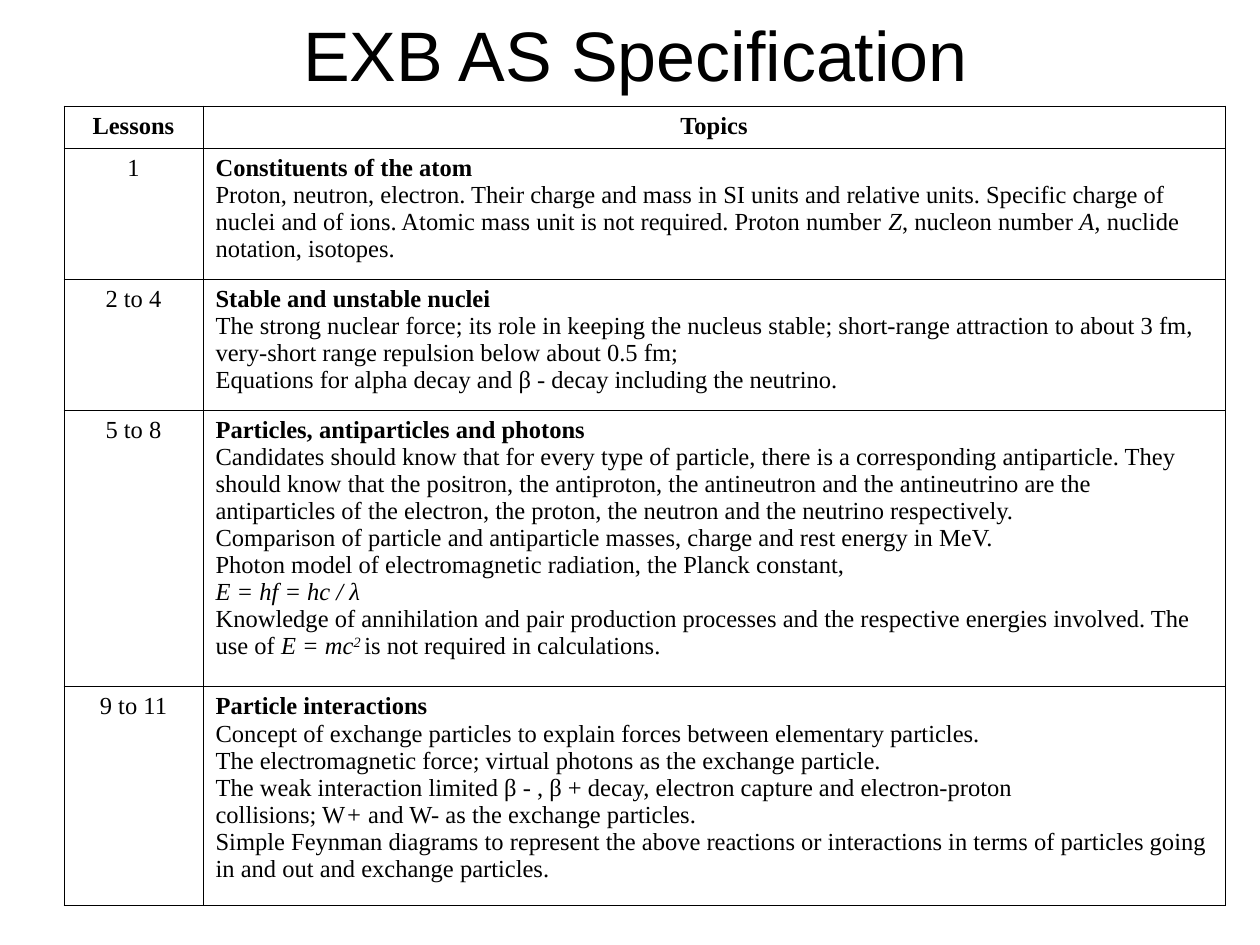
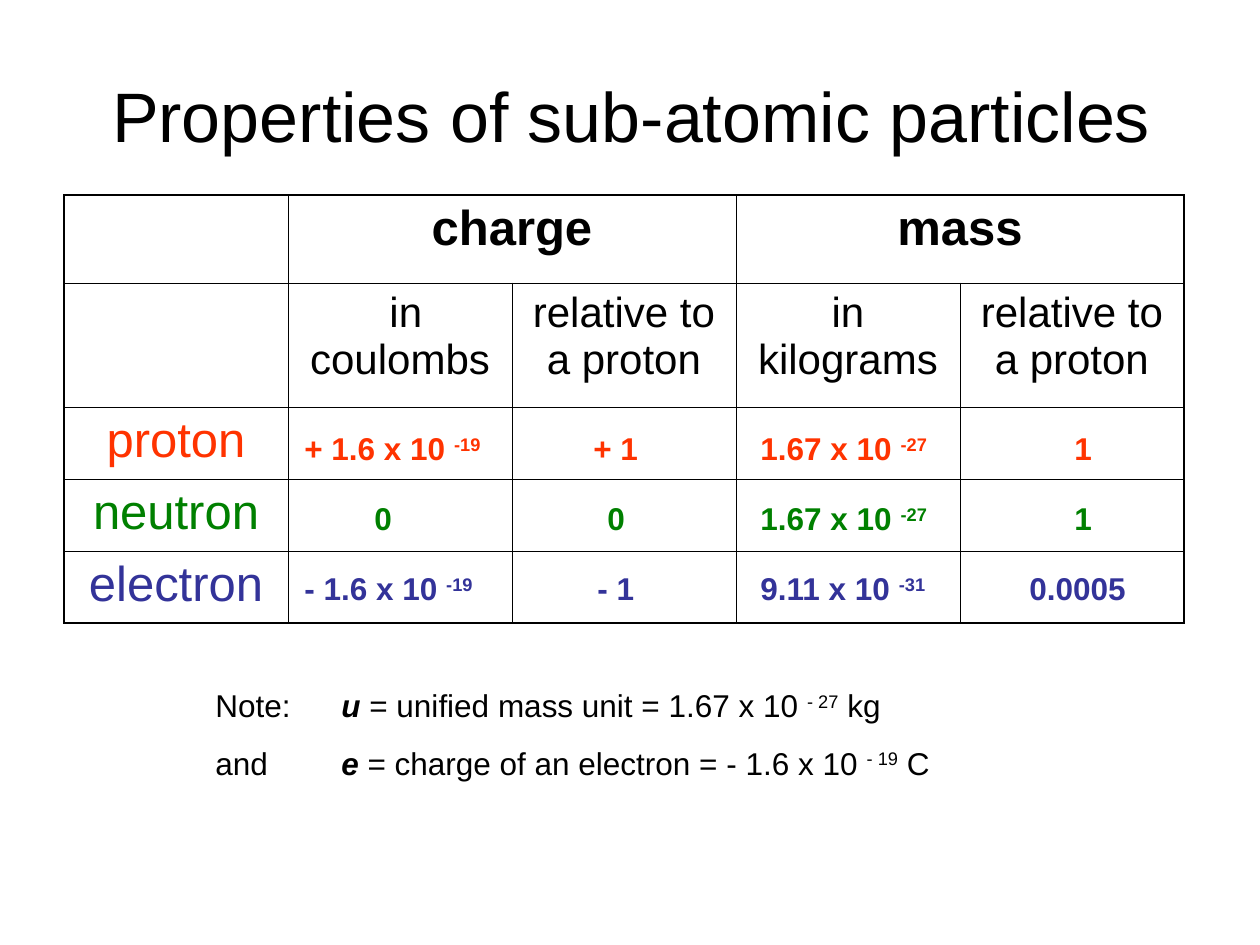
import pptx
import pptx.util
import pptx.dml.color
import pptx.enum.text
import pptx.oxml.ns
from lxml import etree

# ---- Shared look ----
RGBColor = pptx.dml.color.RGBColor
BLACK = RGBColor(0x00, 0x00, 0x00)
RED = RGBColor(0xFF, 0x33, 0x00)
GREEN = RGBColor(0x00, 0x80, 0x00)
INDIGO = RGBColor(0x33, 0x33, 0x99)
SANS, SERIF = "Arial", "Times New Roman"
CENTER = pptx.enum.text.PP_ALIGN.CENTER
LEFT = pptx.enum.text.PP_ALIGN.LEFT
MIDDLE = pptx.enum.text.MSO_ANCHOR.MIDDLE
PX = pptx.util.Inches(1) / 126
THIN, THICK = 0.45, 1.08
TABLE_LEFT = 64

# ---- Content: a paragraph is a list of runs; a styled run is (text, style)
# with b = bold, i = italic, ^ = superscript ----
SPEC_TITLE = "EXB AS Specification"
SPEC_BOX = (64, 0, 1143, 107)
SPEC_TOP = 106
SPEC_COLUMNS = [139, 1022]
SPEC_HEADINGS = ["Lessons", "Topics"]
SPEC_HEADING_HEIGHT = 42
LESSONS = [
    ("1", 131, "Constituents of the atom", [
        ["Proton, neutron, electron. Their charge and mass in SI units and relative units. "
         "Specific charge of nuclei and of ions. Atomic mass unit is not required. "
         "Proton number ", ("Z", "i"), ", nucleon number ", ("A, ", "i"),
         "nuclide notation, isotopes."],
    ]),
    ("2 to 4", 131, "Stable and unstable nuclei", [
        ["The strong nuclear force; its role in keeping the nucleus stable; short-range "
         "attraction to about 3 fm, very-short range repulsion below about 0.5 fm;"],
        ["Equations for alpha decay and β - decay including the neutrino."],
    ]),
    ("5 to 8", 277, "Particles, antiparticles and photons", [
        ["Candidates should know that for every type of particle, there is a corresponding "
         "antiparticle. They should know that the positron, the antiproton, the antineutron "
         "and the antineutrino are the antiparticles of the electron, the proton, the "
         "neutron and the neutrino respectively."],
        ["Comparison of particle and antiparticle masses, charge and rest energy in MeV."],
        ["Photon model of electromagnetic radiation, the Planck constant,"],
        [("E = hf = hc / λ", "i")],
        ["Knowledge of annihilation and pair production processes and the respective "
         "energies involved. The use of ", ("E = mc", "i"), ("2 ", "i^"),
         "is not required in calculations."],
    ]),
    ("9 to 11", 219, "Particle interactions", [
        ["Concept of exchange particles to explain forces between elementary particles."],
        ["The electromagnetic force; virtual photons as the exchange particle."],
        ["The weak interaction limited β - , β + decay, electron capture and electron-proton"],
        ["collisions; W", ("+ ", "i"), "and W- as the exchange particles."],
        ["Simple Feynman diagrams to represent the above reactions or interactions in terms "
         "of particles going in and out and exchange particles."],
    ]),
]

PROPERTIES_TITLE = "Properties of sub-atomic particles"
PROPERTIES_BOX = (64, 35, 1134, 158)
PROPERTIES_TOP = 195
PROPERTIES_COLUMNS = [224] * 5
PROPERTIES_ROWS = [88, 124, 72, 72, 72]
QUANTITIES = ["charge", "mass"]
UNITS = [" in coulombs", "relative to a proton", "in kilograms", "relative to a proton"]
VALUE_TOP, VALUE_PITCH, VALUE_HEIGHT = 423, 70, 50
# Each value: left, width, mantissa, exponent
PARTICLES = [
    ("proton", RED, [(292, 228, "+ 1.6 x 10 ", "-19"), (581, 89, "+ 1", ""),
                     (748, 198, "1.67 x 10 ", "-27"), (1062, 59, "1", "")]),
    ("neutron", GREEN, [(362, 59, "0", ""), (595, 59, "0", ""),
                        (748, 198, "1.67 x 10 ", "-27"), (1062, 59, "1", "")]),
    ("electron", INDIGO, [(292, 208, "- 1.6 x 10 ", "-19"), (585, 79, "- 1", ""),
                          (748, 198, "9.11 x 10 ", "-31"), (1017, 149, "0.0005", "")]),
]
NOTE_BOX = (203, 680, 764, 108)
NOTE_TAB, NOTE_GAP = 126, 11.2
NOTES = [
    ["Note: \t", ("u", "bi"), " = unified mass unit = 1.67 x 10 ", ("- 27", "^"), " kg"],
    ["and\t", ("e", "bi"), " = charge of an electron = - 1.6 x 10 ", ("- 19", "^"), " C"],
]


# ---- Helpers ----
def emu(px):
    return pptx.util.Emu(round(px * PX))


def write(frame, paragraphs, size, font=SANS, color=BLACK, align=LEFT, gap=0, tab=None):
    for number, runs in enumerate(paragraphs):
        paragraph = frame.add_paragraph() if number else frame.paragraphs[0]
        if tab:
            stops = etree.SubElement(paragraph._p.get_or_add_pPr(), pptx.oxml.ns.qn("a:tabLst"))
            etree.SubElement(stops, pptx.oxml.ns.qn("a:tab"), pos=str(emu(tab)), algn="l")
        paragraph.alignment = align
        if number and gap:
            paragraph.space_before = pptx.util.Pt(gap)
        for item in runs:
            text, style = (item, "") if isinstance(item, str) else item
            run = paragraph.add_run()
            run.text = text
            run.font.size = pptx.util.Pt(size)
            run.font.name = font
            run.font.color.rgb = color
            run.font.bold = "b" in style
            run.font.italic = "i" in style
            if "^" in style:
                run.font._element.set("baseline", "30000")


def add_titled_slide(deck, title, box):
    slide = deck.slides.add_slide(deck.slide_layouts[5])
    heading = slide.shapes.title
    heading.left, heading.top, heading.width, heading.height = map(emu, box)
    heading.text_frame.vertical_anchor = MIDDLE
    write(heading.text_frame, [[title]], 40, align=CENTER)
    return slide


def add_text(slide, box, paragraphs, size, **look):
    frame = slide.shapes.add_textbox(*map(emu, box)).text_frame
    frame.word_wrap = True
    write(frame, paragraphs, size, **look)


def add_grid(slide, top, columns, rows):
    grid = slide.shapes.add_table(len(rows), len(columns), emu(TABLE_LEFT), emu(top),
                                  emu(sum(columns)), emu(sum(rows))).table
    grid.first_row = grid.horz_banding = False
    for column, width in zip(grid.columns, columns):
        column.width = emu(width)
    for row, height in zip(grid.rows, rows):
        row.height = emu(height)
    return grid


def rule_cells(grid, outer):
    last_row, last_column = len(grid.rows) - 1, len(grid.columns) - 1
    for r in range(last_row + 1):
        for c in range(last_column + 1):
            cell = grid.cell(r, c)
            cell.fill.background()
            right = c + (cell.span_width if cell.is_merge_origin else 1) - 1
            edges = [("L", c == 0), ("R", right == last_column),
                     ("T", r == 0), ("B", r == last_row)]
            properties = cell._tc.get_or_add_tcPr()
            for order, (side, is_outer) in enumerate(edges):
                width = pptx.util.Pt(outer if is_outer else THIN)
                line = etree.Element(pptx.oxml.ns.qn("a:ln" + side), w=str(width))
                fill = etree.SubElement(line, pptx.oxml.ns.qn("a:solidFill"))
                etree.SubElement(fill, pptx.oxml.ns.qn("a:srgbClr"), val=str(BLACK))
                properties.insert(order, line)


# ---- Slides ----
def build_specification(deck):
    slide = add_titled_slide(deck, SPEC_TITLE, SPEC_BOX)
    heights = [SPEC_HEADING_HEIGHT] + [lesson[1] for lesson in LESSONS]
    grid = add_grid(slide, SPEC_TOP, SPEC_COLUMNS, heights)
    for c, heading in enumerate(SPEC_HEADINGS):
        write(grid.cell(0, c).text_frame, [[(heading, "b")]], 14, SERIF, align=CENTER)
    for r, (lesson, _, topic, details) in enumerate(LESSONS, 1):
        write(grid.cell(r, 0).text_frame, [[lesson]], 14, SERIF, align=CENTER)
        write(grid.cell(r, 1).text_frame, [[(topic, "b")]] + details, 14, SERIF)
    rule_cells(grid, THIN)


def build_properties(deck):
    slide = add_titled_slide(deck, PROPERTIES_TITLE, PROPERTIES_BOX)
    add_text(slide, NOTE_BOX, NOTES, 18, gap=NOTE_GAP, tab=NOTE_TAB)
    grid = add_grid(slide, PROPERTIES_TOP, PROPERTIES_COLUMNS, PROPERTIES_ROWS)
    for c, quantity in zip((1, 3), QUANTITIES):
        grid.cell(0, c).merge(grid.cell(0, c + 1))
        write(grid.cell(0, c).text_frame, [[(quantity, "b")]], 28, align=CENTER)
    for c, unit in enumerate(UNITS, 1):
        write(grid.cell(1, c).text_frame, [[unit]], 24, align=CENTER)
    rule_cells(grid, THICK)

    # Particle names in the table, values laid over its rows
    for number, (particle, color, values) in enumerate(PARTICLES):
        write(grid.cell(number + 2, 0).text_frame, [[particle]], 28, color=color, align=CENTER)
        top = VALUE_TOP + number * VALUE_PITCH
        for left, width, mantissa, exponent in values:
            runs = [(mantissa, "b")] + ([(exponent, "b^")] if exponent else [])
            add_text(slide, (left, top, width, VALUE_HEIGHT), [runs], 18, color=color)


def main():
    deck = pptx.Presentation()
    deck.slide_width, deck.slide_height = emu(1260), emu(945)
    build_specification(deck)
    build_properties(deck)
    deck.save("out.pptx")


if __name__ == "__main__":
    main()
